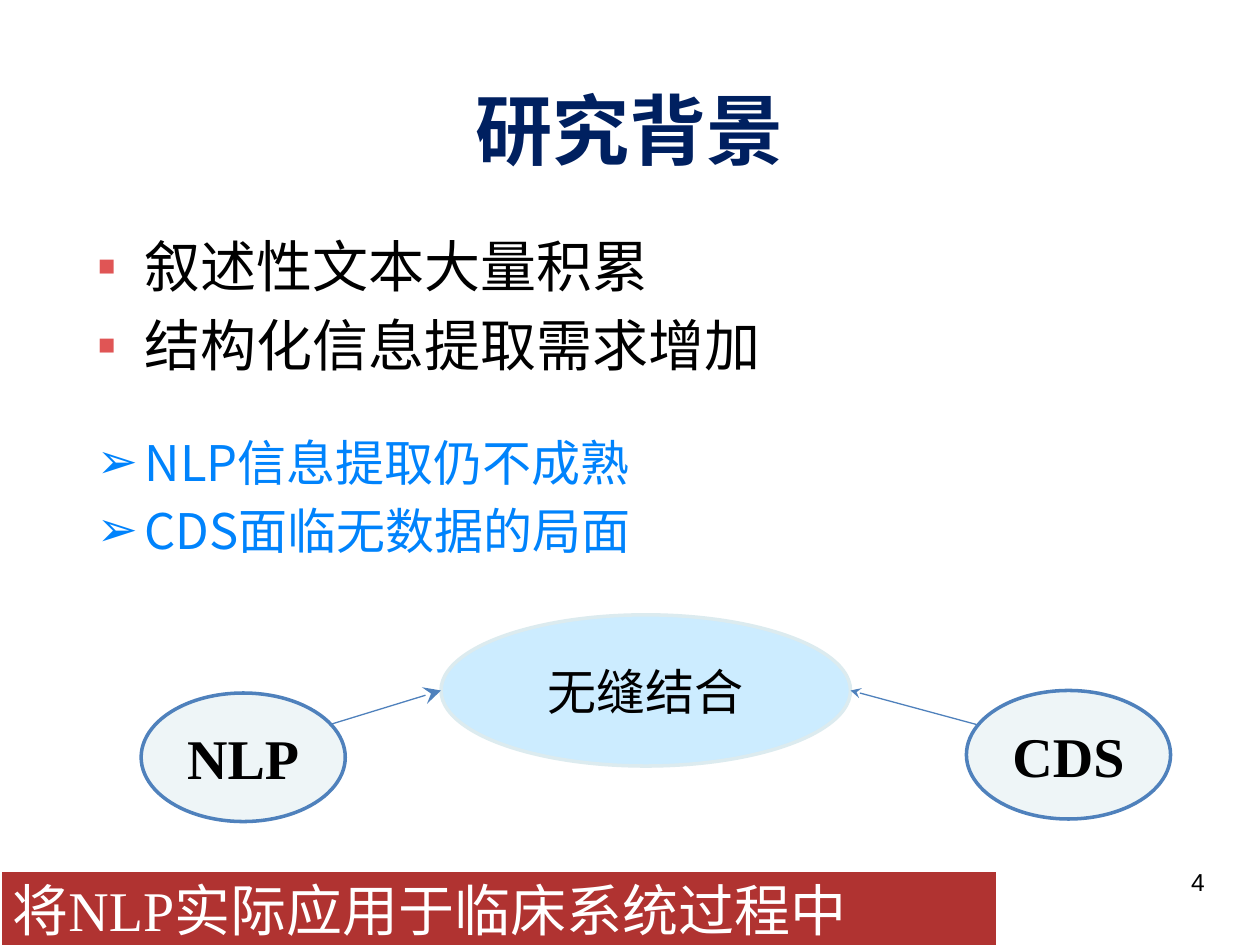
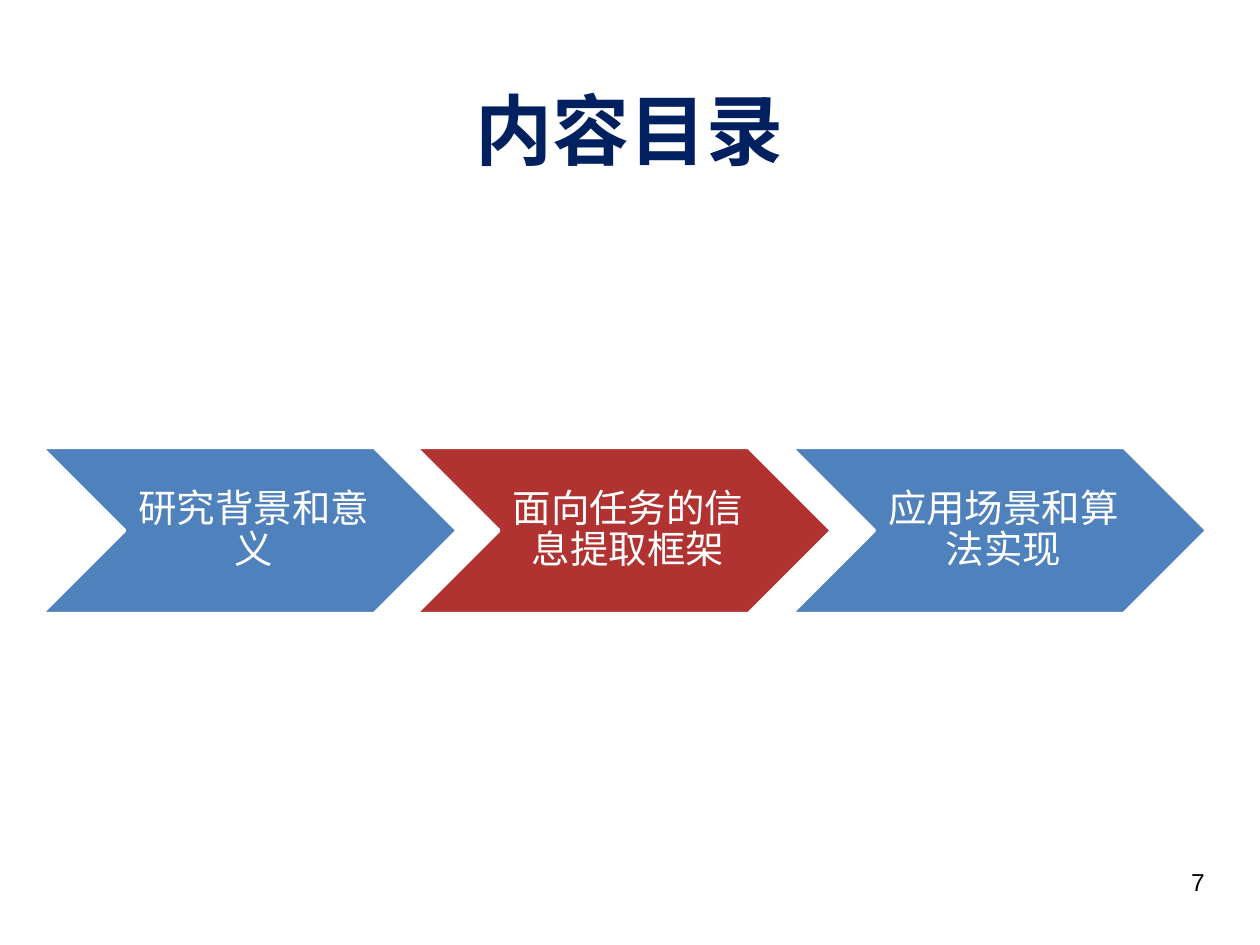
from lxml import etree
from pptx import Presentation, util as u
from pptx.dml.color import RGBColor
from pptx.enum import shapes, text
from pptx.oxml import ns

PX = 9144
NAVY = RGBColor(0x00, 0x20, 0x60)
BLACK = RGBColor(0x00, 0x00, 0x00)
WHITE = RGBColor(0xFF, 0xFF, 0xFF)
AZURE = RGBColor(0x00, 0x83, 0xFC)
BLUE = RGBColor(0x4F, 0x81, 0xBC)
RED = RGBColor(0xB0, 0x33, 0x31)
CORAL = RGBColor(0xE0, 0x55, 0x55)
SKY = RGBColor(0xCC, 0xEC, 0xFF)
MIST = RGBColor(0xDC, 0xEB, 0xEF)
PALE = RGBColor(0xEE, 0xF5, 0xF7)

SANS = "Noto Sans CJK SC"
SERIF = "Times New Roman"
KIND = shapes.MSO_SHAPE
MID = text.MSO_ANCHOR.MIDDLE
LEFT, CENTER, RIGHT = text.PP_ALIGN.LEFT, text.PP_ALIGN.CENTER, text.PP_ALIGN.RIGHT

TITLE = {"size": u.Pt(44), "name": SANS, "bold": True, "color": NAVY}
BODY = {"size": u.Pt(32), "name": SANS, "color": BLACK}
CLAIM = {"size": u.Pt(28), "name": SANS, "color": AZURE}
GOAL = {"size": u.Pt(28), "name": SANS, "color": BLACK}
FIELD = {"size": u.Pt(32), "name": SERIF, "bold": True, "color": BLACK}
BAND = {"size": u.Pt(32), "name": SANS, "color": WHITE}
STEP = {"size": u.Pt(22), "name": SANS, "color": WHITE}
PAGE = {"size": u.Pt(14), "name": "Arial", "color": BLACK}


def px(*vals):
    return [u.Emu(v * PX) for v in vals]


def sub(node, tag, **attrs):
    return etree.SubElement(node, ns.qn(tag), attrs)


def add_run(para, words, form):
    run = para.add_run()
    run.text = words
    for key, val in form.items():
        if key == "color":
            run.font.color.rgb = val
        else:
            setattr(run.font, key, val)
    sub(run._r.get_or_add_rPr(), "a:ea", typeface=form["name"])


def set_frame(shape, anchor, pads=(10, 5, 10, 5)):
    frame = shape.text_frame
    frame.word_wrap = True
    frame.vertical_anchor = anchor
    sides = ("left", "top", "right", "bottom")
    for side, pad in zip(sides, px(*pads)):
        setattr(frame, f"margin_{side}", pad)
    return frame


def add_text(slide, box, words, form, align, anchor):
    frame = set_frame(slide.shapes.add_textbox(*px(*box)), anchor)
    frame.paragraphs[0].alignment = align
    add_run(frame.paragraphs[0], words, form)


def add_list(slide, box, lines, form, mark, tint, pitch, gap):
    frame = set_frame(slide.shapes.add_textbox(*px(*box)),
                      text.MSO_ANCHOR.TOP, (10, 11, 10, 5))
    for num, line in enumerate(lines):
        para = frame.add_paragraph() if num else frame.paragraphs[0]
        props = para._p.get_or_add_pPr()
        props.set("marL", str(38 * PX))
        props.set("indent", str(-38 * PX))
        sub(sub(props, "a:buClr"), "a:srgbClr", val=str(tint))
        sub(props, "a:buFont", typeface="Arial")
        sub(props, "a:buChar", char=mark)
        para.line_spacing = u.Pt(pitch)
        para.space_before = u.Pt(gap if num else 0)
        add_run(para, line, form)


def add_block(slide, kind, box, fill, edge, runs, align=CENTER, pads=(10, 5, 10, 5)):
    shape = slide.shapes.add_shape(kind, *px(*box))
    shape.shadow.inherit = False
    shape.fill.solid()
    shape.fill.fore_color.rgb = fill
    shape.line.color.rgb = edge
    shape.line.width = u.Pt(2)
    para = set_frame(shape, MID, pads).paragraphs[0]
    para.alignment = align
    for words, form in runs:
        add_run(para, words, form)
    return para


def add_arrow(slide, tip, tail, size):
    line = slide.shapes.add_connector(shapes.MSO_CONNECTOR.STRAIGHT, *px(*tip, *tail))
    line.line.color.rgb = BLUE
    line.line.width = u.Pt(0.75)
    sub(line.line._get_or_add_ln(), "a:headEnd", type="stealth", w=size, len=size)
    sub(line._element.spPr, "a:effectLst")


def add_slide(deck, title, page):
    slide = deck.slides.add_slide(deck.slide_layouts[6])
    add_text(slide, (33, 65, 934, 74), title, TITLE, CENTER, MID)
    add_text(slide, (716, 683, 250, 52), page, PAGE, RIGHT, text.MSO_ANCHOR.TOP)
    return slide


def add_study(deck):
    slide = add_slide(deck, "研究背景", "4")
    add_list(slide, (67, 175, 892, 492), ("叙述性文本大量积累", "结构化信息提取需求增加"),
             BODY, "▪", CORAL, 37, 8)
    add_list(slide, (67, 333, 775, 133), ("NLP信息提取仍不成熟", "CDS面临无数据的局面"),
             CLAIM, "➢", AZURE, 33, 6)
    add_block(slide, KIND.OVAL, (350, 488, 325, 120), SKY, MIST, [("无缝结合", GOAL)])
    add_arrow(slide, (350, 548), (262, 575), "lg")
    add_arrow(slide, (675, 548), (775, 575), "med")
    for name, left, top in (("NLP", 112, 550), ("CDS", 767, 548)):
        add_block(slide, KIND.OVAL, (left, top, 162, 102), PALE, BLUE, [(name, FIELD)])
    runs = [("将", BAND), ("NLP", {**BAND, "name": SERIF}), ("实际应用于临床系统过程中", BAND)]
    add_block(slide, KIND.RECTANGLE, (0, 691, 792, 61), RED, WHITE, runs, LEFT)


def add_plan(deck):
    slide = add_slide(deck, "内容目录", "7")
    steps = (("研究背景和意义", BLUE), ("面向任务的信息提取框架", RED), ("应用场景和算法实现", BLUE))
    for num, (words, fill) in enumerate(steps):
        para = add_block(slide, KIND.CHEVRON, (33 + num * 595 // 2, 355, 330, 132),
                         fill, WHITE, [(words, STEP)], pads=(10, 3, 3, 3))
        para.line_spacing = u.Pt(23)


def main():
    """Build the two slides and save them."""
    deck = Presentation()
    deck.slide_width, deck.slide_height = px(1000, 750)
    add_study(deck)
    add_plan(deck)
    deck.save("out.pptx")


if __name__ == "__main__":
    main()
